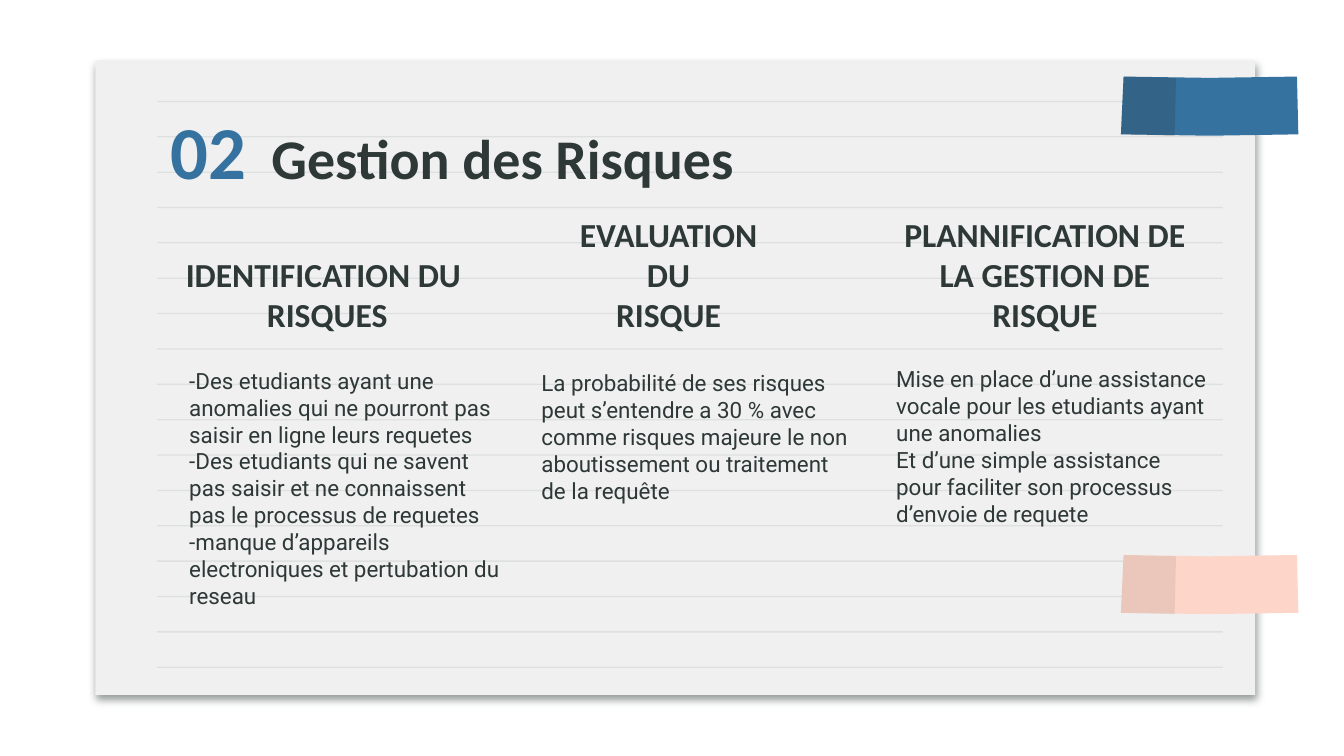
from dataclasses import dataclass

from lxml import etree
from pptx import Presentation
from pptx.dml.color import RGBColor
from pptx.enum import shapes, text
from pptx.oxml.ns import qn
from pptx.util import Inches, Pt


@dataclass(frozen=True)
class Theme:
    ink: str = "2D3837"
    paper: str = "F0F0F0"
    blue: str = "3572A0"
    pink: str = "FDD5C9"
    head_font: str = "Calibri"
    body_font: str = "Roboto"
    number: int = 40
    title: int = 30
    heading: int = 18
    body: int = 12


THEME = Theme()
HEADING = {"size": Pt(THEME.heading), "name": THEME.head_font, "bold": True}
BODY = {"size": Pt(THEME.body), "name": THEME.body_font, "bold": False}
TITLE = {"size": Pt(THEME.title), "name": THEME.head_font, "bold": True}
NUMBER = {**TITLE, "size": Pt(THEME.number)}

COLUMNS = [
    (["IDENTIFICATION DU ", "RISQUES"], (1.17, 1.73, 2.53, 0.86),
     ["-Des etudiants ayant une anomalies qui ne pourront pas saisir en ligne leurs requetes",
      "-Des etudiants qui ne savent pas saisir et ne connaissent pas le processus de requetes",
      "-manque d’appareils electroniques et pertubation du reseau"],
     (1.31, 2.63, 2.53, 2.45)),
    (["EVALUATION", " DU ", "RISQUE"], (3.71, 1.73, 2.53, 0.86),
     ["La probabilité de ses risques peut s’entendre a 30 % avec comme risques majeure "
      "le non aboutissement ou traitement de la requête"],
     (3.93, 2.65, 2.53, 1.38)),
    (["PLANNIFICATION DE LA GESTION DE RISQUE"], (6.51, 1.56, 2.53, 1.03),
     ["Mise en place d’une assistance vocale pour les etudiants ayant une anomalies",
      "Et d’une simple assistance pour faciliter son processus d’envoie de requete"],
     (6.57, 2.62, 2.53, 1.38)),
]


def set_alpha(color, percent):
    etree.SubElement(color, qn("a:alpha"), val=str(percent * 1000))


def paint(sp, color, alpha=100):
    sp.shadow.inherit = False
    sp.fill.solid()
    sp.fill.fore_color.rgb = RGBColor.from_string(color)
    sp.line.fill.background()
    if alpha < 100:
        set_alpha(sp._element.spPr.find(qn("a:solidFill")).find(qn("a:srgbClr")), alpha)


def add_rect(slide, box, color, alpha=100):
    sp = slide.shapes.add_shape(shapes.MSO_SHAPE.RECTANGLE, *map(Inches, box))
    paint(sp, color, alpha)
    return sp


def add_shadow(sp):
    effects = sp._element.spPr.find(qn("a:effectLst"))
    shadow = etree.SubElement(effects, qn("a:outerShdw"), blurRad=str(Pt(4.5)),
                              dist=str(Pt(3)), dir=str(70 * 60000),
                              algn="bl", rotWithShape="0")
    set_alpha(etree.SubElement(shadow, qn("a:srgbClr"), val=THEME.ink), 50)


def add_paper(slide, box):
    x, y, w, h = box
    add_shadow(add_rect(slide, box, THEME.paper))
    count, first, last = 17, 0.3, 4.51
    step = (last - first) / (count - 1)
    for i in range(count):
        add_rect(slide, (x + 0.46, y + first + i * step, w - 0.7, 0.01), THEME.ink, 9)


def add_text(slide, box, paragraphs, anchor=text.MSO_ANCHOR.TOP, align=text.PP_ALIGN.LEFT):
    tf = slide.shapes.add_textbox(*map(Inches, box)).text_frame
    margins = {f"margin_{side}": Inches(0.1) for side in ("left", "right", "top", "bottom")}
    for key, value in {**margins, "word_wrap": True, "vertical_anchor": anchor}.items():
        setattr(tf, key, value)
    for i, runs in enumerate(paragraphs):
        p = tf.add_paragraph() if i else tf.paragraphs[0]
        p.alignment = align
        for words, style, color in runs:
            r = p.add_run()
            r.text = words
            for key, value in style.items():
                setattr(r.font, key, value)
            r.font.color.rgb = RGBColor.from_string(color)


def add_title(slide, box):
    add_text(slide, box, [[("02", NUMBER, THEME.blue),
                           ("  Gestion des Risques", TITLE, THEME.ink)]])


def add_column(slide, heading, heading_box, body, body_box):
    add_text(slide, heading_box, [[(line, HEADING, THEME.ink)] for line in heading],
             text.MSO_ANCHOR.BOTTOM, text.PP_ALIGN.CENTER)
    add_text(slide, body_box, [[(line, BODY, THEME.ink)] for line in body])


def add_outline(slide, x, y, points, color, alpha=100):
    start, *rest = [(Inches(x + dx), Inches(y + dy)) for dx, dy in points]
    builder = slide.shapes.build_freeform(*start)
    builder.add_line_segments(rest, close=True)
    paint(builder.convert_to_shape(), color, alpha)


def add_tape(slide, box, color, shade):
    x, y, w, h = box
    left = [(0.02, 0), (0, h - 0.01)]
    strip = left + [(w / 2, h), (w, h - 0.01), (w - 0.01, 0), (w / 2, 0.01)]
    fold = left + [(0.4, h), (0.41, 0.01)]
    add_outline(slide, x, y, strip, color)
    add_outline(slide, x, y, fold, THEME.ink, shade)


def main():
    prs = Presentation()
    prs.slide_width = Inches(10)
    prs.slide_height = prs.slide_width * 9 // 16
    slide = prs.slides.add_slide(prs.slide_layouts[6])
    add_paper(slide, (0.71, 0.45, 8.63, 4.72))
    for column in COLUMNS:
        add_column(slide, *column)
    add_tape(slide, (8.34, 0.57, 1.32, 0.44), THEME.blue, 23)
    add_tape(slide, (8.34, 4.13, 1.32, 0.44), THEME.pink, 9)
    add_title(slide, (1.17, 0.68, 8.05, 0.7))
    prs.save("out.pptx")


if __name__ == "__main__":
    main()
